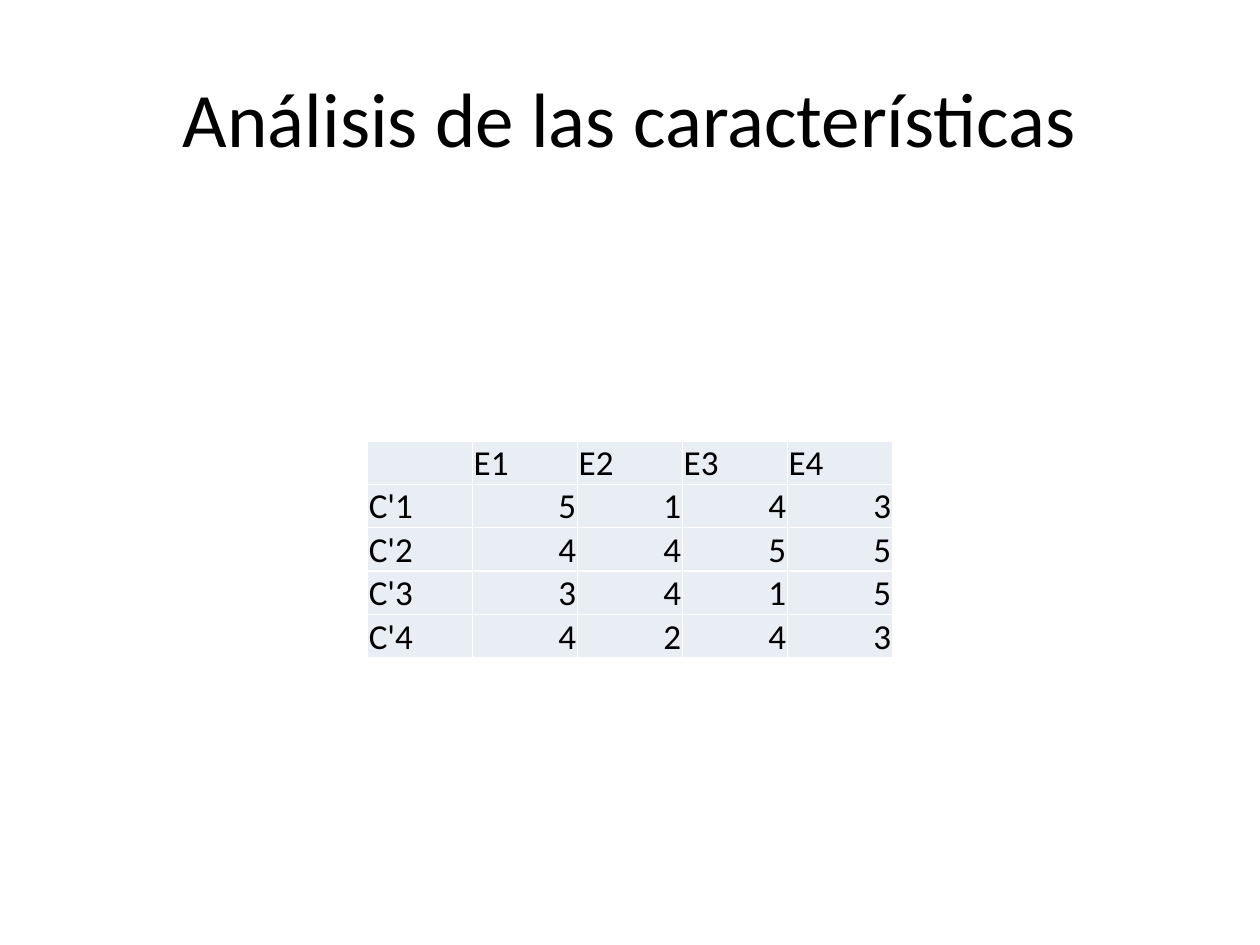
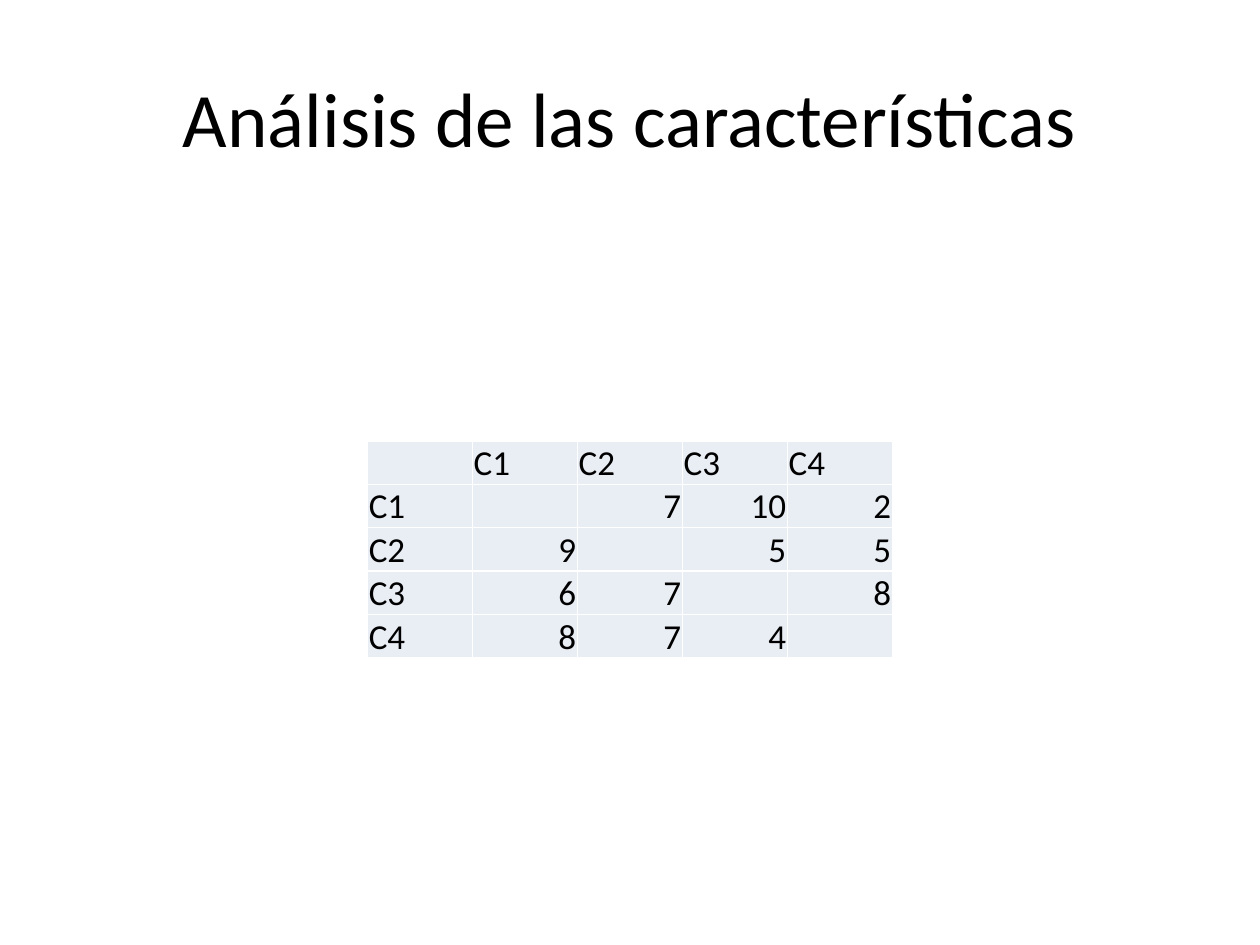
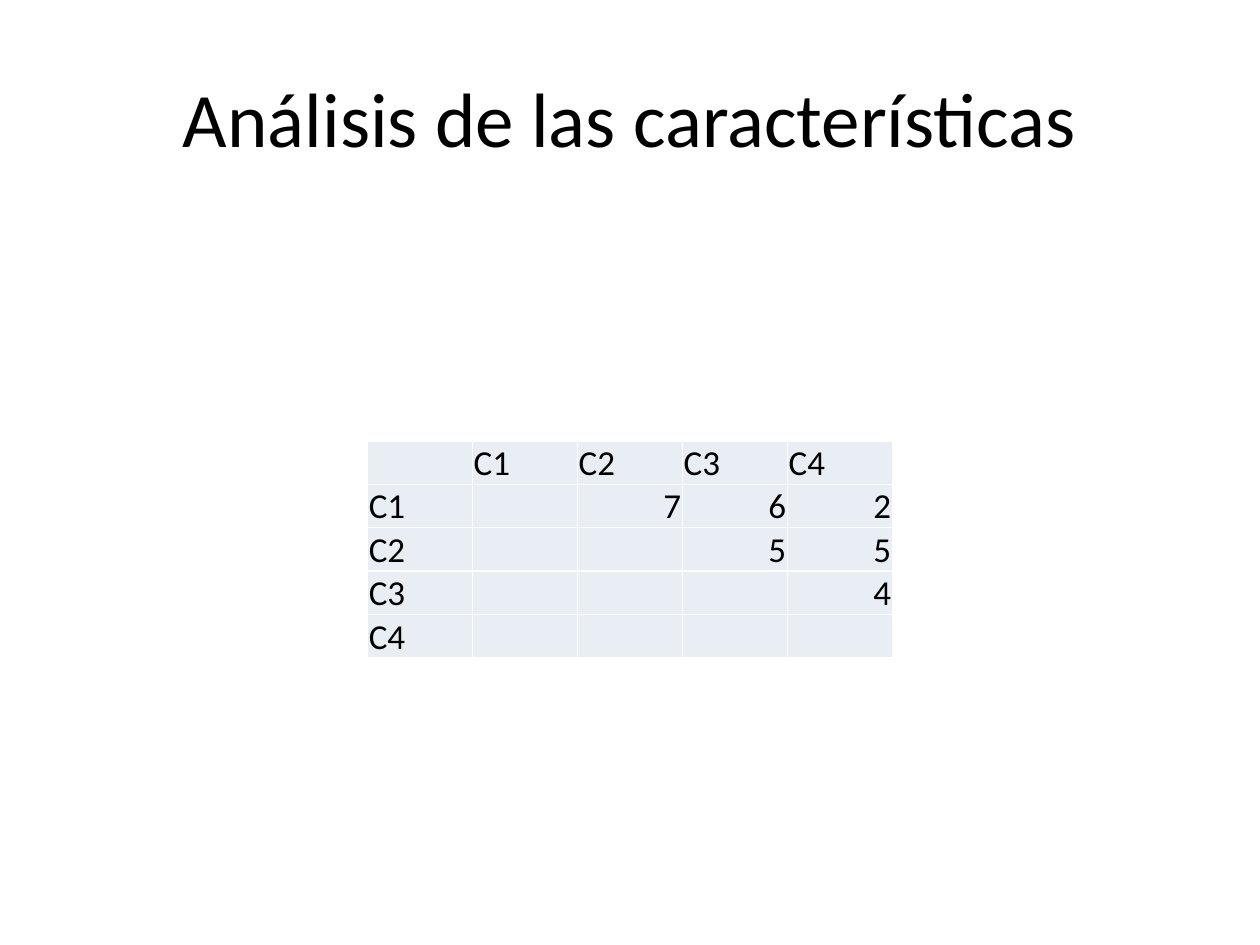
from lxml import etree
from pptx import Presentation
from pptx import util as u
from pptx.dml.color import RGBColor
from pptx.enum import text
from pptx.oxml import ns

BLACK = RGBColor(0x00, 0x00, 0x00)
WHITE = RGBColor(0xFF, 0xFF, 0xFF)
PALE_BLUE = RGBColor(0xE9, 0xED, 0xF4)

TITLE = "Análisis de las características"
CRITERIA = ["C1", "C2", "C3", "C4"]
MATRICES = [
    (["E1", "E2", "E3", "E4"], ["C'1", "C'2", "C'3", "C'4"],
     [[5, 1, 4, 3], [4, 4, 5, 5], [3, 4, 1, 5], [4, 2, 4, 3]]),
    (CRITERIA, CRITERIA,
     [["", 7, 10, 2], [9, "", 5, 5], [6, 7, "", 8], [8, 7, 4, ""]]),
    (CRITERIA, CRITERIA,
     [["", 7, 6, 2], ["", "", 5, 5], ["", "", "", 4], ["", "", "", ""]]),
]


class SlideWriter:
    font_name = "Calibri"
    title_size = u.Pt(44)
    table_size = u.Pt(20)
    column_width = u.Pt(60)
    row_height = u.Pt(21)
    cell_inset = u.Pt(0.75)
    border_width = u.Pt(1)

    def __init__(self, deck):
        self.deck = deck
        self.slide = None

    def new_slide(self):
        self.slide = self.deck.slides.add_slide(self.deck.slide_layouts[6])
        background = self.slide.background.fill
        background.solid()
        background.fore_color.rgb = WHITE

    def format_text(self, paragraph, size, alignment):
        paragraph.alignment = alignment
        for span in paragraph.runs:
            span.font.name = self.font_name
            span.font.size = size
            span.font.color.rgb = BLACK

    def title(self, wording):
        box = self.slide.shapes.add_textbox(u.Pt(36), u.Pt(21.6), u.Pt(648), u.Pt(90))
        frame = box.text_frame
        frame.word_wrap = True
        frame.vertical_anchor = text.MSO_ANCHOR.MIDDLE
        frame.text = wording
        self.format_text(frame.paragraphs[0], self.title_size, text.PP_ALIGN.CENTER)

    def matrix(self, headings, labels, values):
        rows = [["", *headings]]
        rows += [[label, *line] for label, line in zip(labels, values)]
        table = self.slide.shapes.add_table(
            len(rows), len(rows[0]), u.Pt(210), u.Pt(252), u.Pt(300), u.Pt(124)).table
        table.first_row = False
        table.horz_banding = False
        for column in table.columns:
            column.width = self.column_width
        for row, line in zip(table.rows, rows):
            row.height = self.row_height
            for cell, value in zip(row.cells, line):
                self.fill_cell(cell, value)

    def fill_cell(self, cell, value):
        cell.margin_left = cell.margin_top = cell.margin_right = self.cell_inset
        cell.margin_bottom = 0
        cell.vertical_anchor = text.MSO_ANCHOR.BOTTOM
        cell.text_frame.text = str(value)
        is_number = isinstance(value, int)
        alignment = text.PP_ALIGN.RIGHT if is_number else text.PP_ALIGN.LEFT
        self.format_text(cell.text_frame.paragraphs[0], self.table_size, alignment)
        self.border(cell)
        cell.fill.solid()
        cell.fill.fore_color.rgb = PALE_BLUE

    def border(self, cell):
        properties = cell._tc.get_or_add_tcPr()
        for side in ("a:lnL", "a:lnR", "a:lnT", "a:lnB"):
            line = etree.SubElement(properties, ns.qn(side), w=str(self.border_width))
            fill = etree.SubElement(line, ns.qn("a:solidFill"))
            etree.SubElement(fill, ns.qn("a:srgbClr"), val=str(WHITE))


deck = Presentation()
deck.slide_width = u.Pt(720)
deck.slide_height = u.Pt(540)
writer = SlideWriter(deck)
for headings, labels, values in MATRICES:
    writer.new_slide()
    writer.title(TITLE)
    writer.matrix(headings, labels, values)
deck.save("out.pptx")
